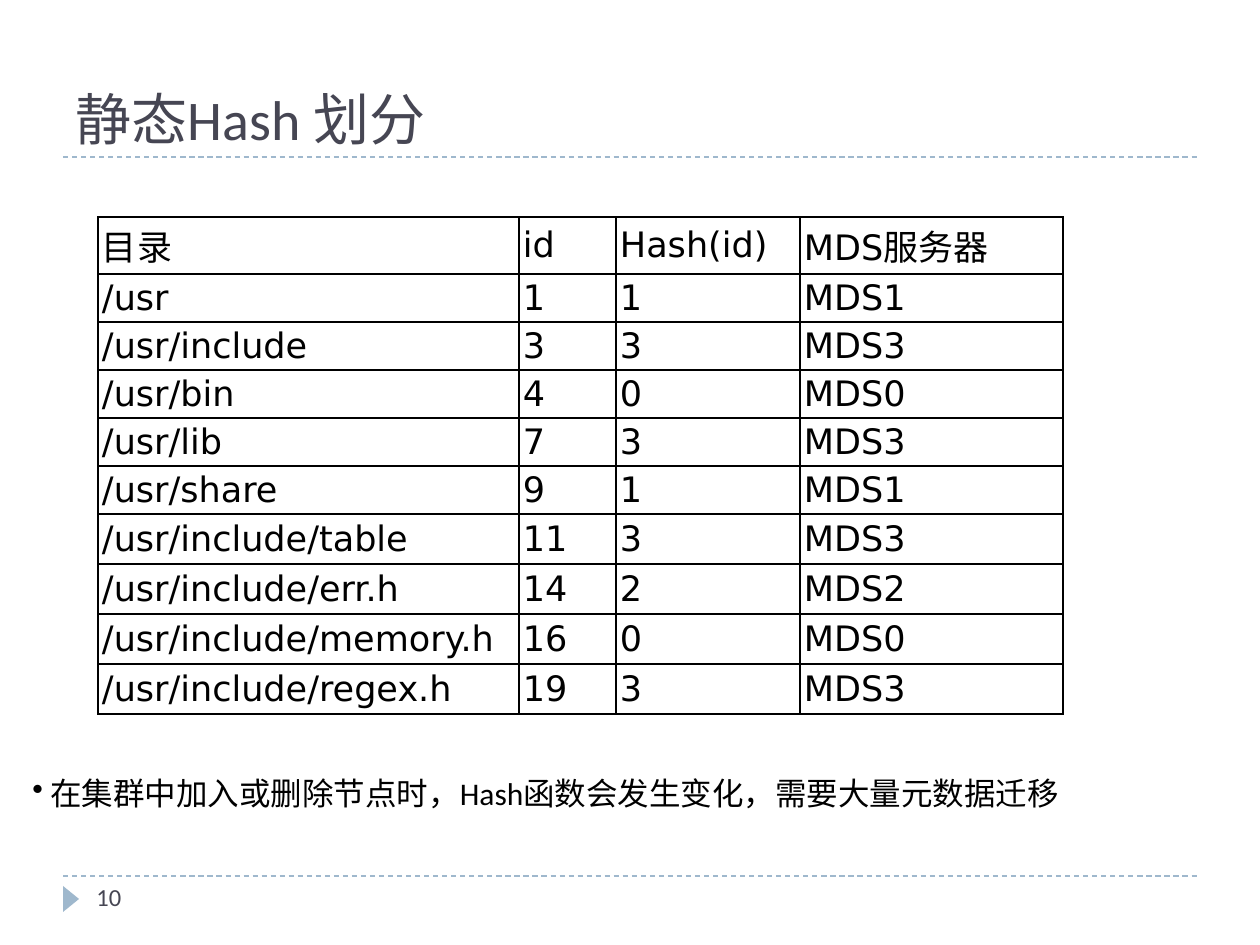
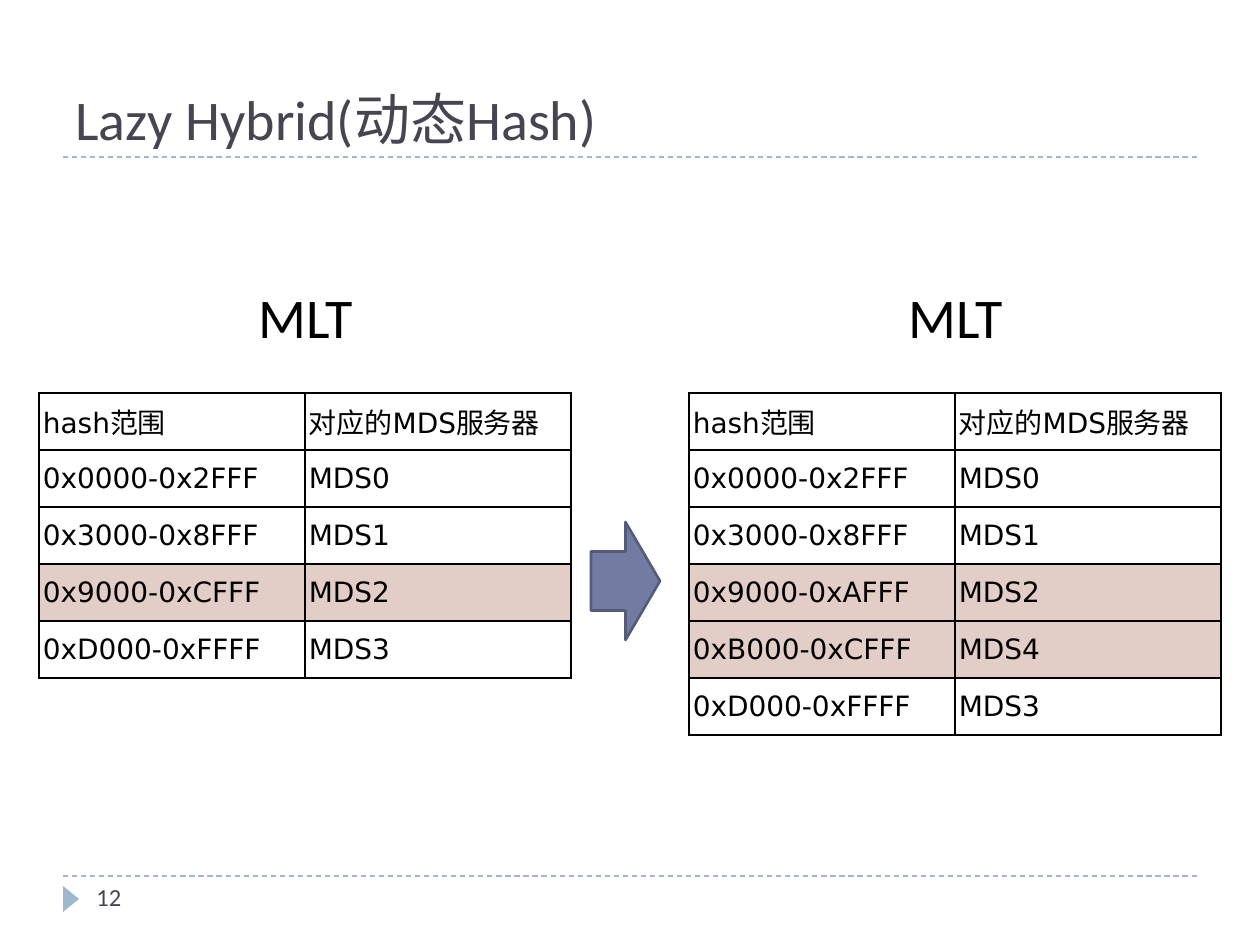
from lxml import etree
from pptx import Presentation
from pptx import util as u
from pptx.dml.color import RGBColor
from pptx.enum import dml, shapes, text
from pptx.oxml import ns

SCALE = 914400 / 126
COLORS = {
    "ink": "464653", "black": "000000", "trim": "9FB8CD",
    "mark": "E3CEC7", "arrow": "727CA3", "edge": "545C79",
}
FONT, MONO = "Calibri", "DejaVu Sans"
LEFT, RIGHT = 63, 1197
RULES = (876, 157)
PAD_X, PAD_Y = 4, 3

FILES = [
    ("目录", "id", "Hash(id)", "MDS服务器"),
    ("/usr", "1", "1", "MDS1"),
    ("/usr/include", "3", "3", "MDS3"),
    ("/usr/bin", "4", "0", "MDS0"),
    ("/usr/lib", "7", "3", "MDS3"),
    ("/usr/share", "9", "1", "MDS1"),
    ("/usr/include/table", "11", "3", "MDS3"),
    ("/usr/include/err.h", "14", "2", "MDS2"),
    ("/usr/include/memory.h", "16", "0", "MDS0"),
    ("/usr/include/regex.h", "19", "3", "MDS3"),
]
HEAD = [
    ("hash范围", "对应的MDS服务器"),
    ("0x0000-0x2FFF", "MDS0"),
    ("0x3000-0x8FFF", "MDS1"),
]
TAIL = [("0xD000-0xFFFF", "MDS3")]
BEFORE = HEAD + [("0x9000-0xCFFF", "MDS2")] + TAIL
AFTER = HEAD + [("0x9000-0xAFFF", "MDS2"), ("0xB000-0xCFFF", "MDS4")] + TAIL


def px(*nums):
    return [u.Emu(round(n * SCALE)) for n in nums]


def color(name):
    return RGBColor.from_string(COLORS[name])


def style(para, size, tint="black", font=FONT):
    for run in para.runs:
        run.font.size = u.Pt(size)
        run.font.name = font
        run.font.color.rgb = color(tint)


def add_text(slide, box, words, size, tint="black", anchor=text.MSO_ANCHOR.TOP):
    frame = slide.shapes.add_textbox(*px(*box)).text_frame
    frame.word_wrap = True
    frame.vertical_anchor = anchor
    frame.text = words
    style(frame.paragraphs[0], size, tint)
    return frame.paragraphs[0]


def add_bullet(para, indent):
    props = para._p.get_or_add_pPr()
    step = px(indent)[0]
    props.set("marL", str(step))
    props.set("indent", str(-step))
    etree.SubElement(props, ns.qn("a:buChar")).set("char", "•")


def add_rule(slide, y):
    line = slide.shapes.add_connector(
        shapes.MSO_CONNECTOR.STRAIGHT, *px(LEFT, y, RIGHT, y))
    line.line.color.rgb = color("trim")
    line.line.width = u.Pt(0.75)
    line.line.dash_style = dml.MSO_LINE.DASH
    etree.SubElement(line._element.spPr, ns.qn("a:effectLst"))


def add_form(slide, kind, box, fill, edge=None):
    form = slide.shapes.add_shape(kind, *px(*box))
    form.shadow.inherit = False
    form.fill.solid()
    form.fill.fore_color.rgb = color(fill)
    if edge:
        form.line.color.rgb = color(edge)
        form.line.width = u.Pt(1.5)
    else:
        form.line.fill.background()
    return form


def add_borders(cell):
    props = cell._tc.get_or_add_tcPr()
    for side in ("lnL", "lnR", "lnT", "lnB"):
        line = etree.SubElement(props, ns.qn("a:" + side), w=str(u.Pt(1)))
        fill = etree.SubElement(line, ns.qn("a:solidFill"))
        etree.SubElement(fill, ns.qn("a:srgbClr"), val=COLORS["black"])


def add_grid(slide, left, top, widths, heights, rows, size, marked=()):
    """Add a bordered table; rows whose index is in marked are tinted."""
    grid = slide.shapes.add_table(
        len(rows), len(widths),
        *px(left, top, sum(widths), sum(heights))).table
    grid.first_row = grid.horz_banding = False
    for col, width in zip(grid.columns, px(*widths)):
        col.width = width
    for row, height in zip(grid.rows, px(*heights)):
        row.height = height
    for i, row in enumerate(rows):
        for j, words in enumerate(row):
            cell = grid.cell(i, j)
            cell.text = words
            style(cell.text_frame.paragraphs[0], size, font=MONO)
            cell.vertical_anchor = text.MSO_ANCHOR.MIDDLE
            cell.margin_left, cell.margin_right = px(PAD_X, PAD_X)
            cell.margin_top, cell.margin_bottom = px(PAD_Y, PAD_Y)
            add_borders(cell)
            if i in marked:
                cell.fill.solid()
                cell.fill.fore_color.rgb = color("mark")
            else:
                cell.fill.background()


def add_page(deck, title, number):
    """Add a blank slide with the shared rules, title and page number."""
    slide = deck.slides.add_slide(deck.slide_layouts[6])
    for y in RULES:
        add_rule(slide, y)
    flag = add_form(slide, shapes.MSO_SHAPE.ISOSCELES_TRIANGLE,
                    (58, 891, 26, 16), "trim")
    flag.rotation = 90
    add_text(slide, (LEFT, 22, RIGHT - LEFT, 136), title, 32, "ink",
             text.MSO_ANCHOR.BOTTOM)
    add_text(slide, (84, 876, 273, 50), str(number), 14, "ink")
    return slide


def add_static(deck):
    slide = add_page(deck, "静态Hash 划分", 10)
    heights = [57] + [48] * 5 + [50] * 4
    add_grid(slide, 98, 217, (421, 97, 184, 263), heights, FILES, 20)
    note = add_text(
        slide, (20, 768, 1123, 50),
        "在集群中加入或删除节点时，Hash函数会发生变化，需要大量元数据迁移", 18)
    add_bullet(note, 18)


def add_lazy(deck):
    slide = add_page(deck, "Lazy Hybrid(动态Hash)", 12)
    for left, rows, marked in ((39, BEFORE, (3,)), (689, AFTER, (3, 4))):
        add_grid(slide, left, 393, (266, 266), [57] * len(rows), rows, 16,
                 marked)
        add_text(slide, (left + 207, 276, 186, 81), "MLT", 32)
    add_form(slide, shapes.MSO_SHAPE.RIGHT_ARROW, (591, 522, 69, 118),
             "arrow", "edge")


def main():
    deck = Presentation()
    deck.slide_width, deck.slide_height = px(1260, 945)
    add_static(deck)
    add_lazy(deck)
    deck.save("out.pptx")


if __name__ == "__main__":
    main()
